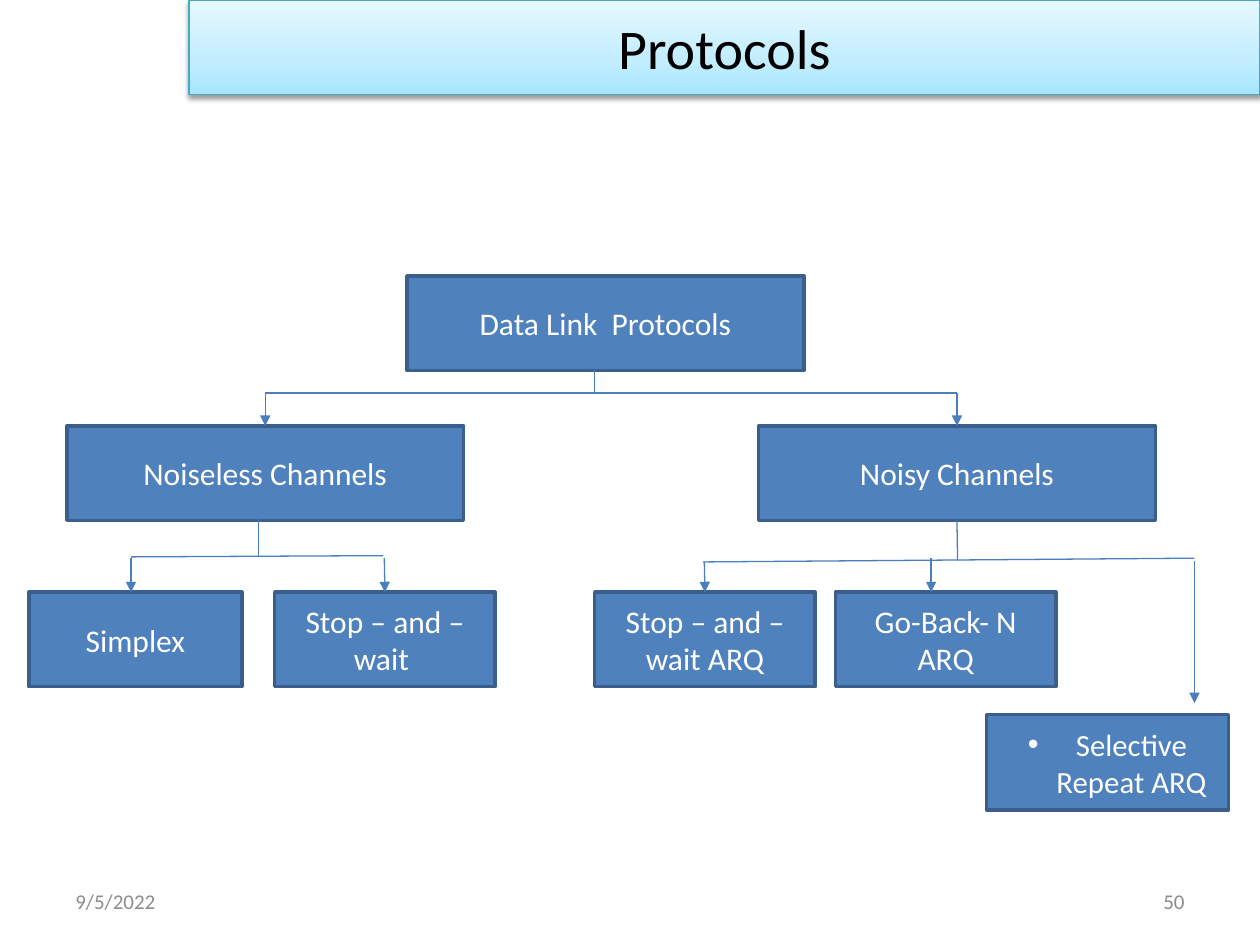
from copy import deepcopy

from lxml.etree import SubElement
from pptx import Presentation
from pptx.dml.color import RGBColor
from pptx.enum.shapes import MSO_CONNECTOR as CONN, MSO_SHAPE as SHAPE
from pptx.enum.text import MSO_ANCHOR as ANCHOR, PP_ALIGN as ALIGN
from pptx.oxml.ns import qn
from pptx.util import Inches, Pt

FONT = "Calibri"
BOX_FILL, BOX_LINE, ARROW = "4F81BD", "3A5F8C", "4B7EBC"
BOX_W, LEAF_W, BOX_H = 3.15, 1.75, 0.75
TOP, BOTTOM = 0, 2


def rgb(value):
    return RGBColor.from_string(value)


def place(sp, x, y, w, h):
    sp.left, sp.top, sp.width, sp.height = map(Inches, (x, y, w, h))


def write(sp, text, size, color, align):
    tf = sp.text_frame
    tf.word_wrap = True
    tf.vertical_anchor = ANCHOR.MIDDLE
    p = tf.paragraphs[0]
    p.alignment = align
    r = p.add_run()
    r.text = text
    r.font.name, r.font.size = FONT, Pt(size)
    r.font.color.rgb = rgb(color)
    return p


def add_title(slide, text, x, y, w, h):
    """Title bar with a vertical gradient and a soft shadow below it."""
    sp = slide.shapes.title
    place(sp, x, y, w, h)
    write(sp, text, 32, "000000", ALIGN.CENTER)
    sp.line.color.rgb = rgb("46AAC5")
    sp.line.width = Pt(0.75)

    sp.fill.gradient()
    sp.fill.gradient_angle = 90
    stops = sp._element.spPr.find(qn("a:gradFill")).find(qn("a:gsLst"))
    stops.insert(1, deepcopy(stops[0]))
    colors = ((0, "A7E6FF"), (0.35, "C1EDFF"), (1, "E7F8FF"))
    for stop, (position, color) in zip(sp.fill.gradient_stops, colors):
        stop.position = position
        stop.color.rgb = rgb(color)

    effects = SubElement(sp._element.spPr, qn("a:effectLst"))
    shadow = SubElement(effects, qn("a:outerShdw"), blurRad=str(Pt(3.1)),
                        dist=str(Pt(1.6)), dir="5400000", rotWithShape="0")
    black = SubElement(shadow, qn("a:srgbClr"), val="000000")
    SubElement(black, qn("a:alpha"), val="38000")


def add_box(slide, text, x, y, w=BOX_W, h=BOX_H, bullet=False):
    sp = slide.shapes.add_shape(SHAPE.RECTANGLE, *map(Inches, (x, y, w, h)))
    sp.shadow.inherit = False
    sp.fill.solid()
    sp.fill.fore_color.rgb = rgb(BOX_FILL)
    sp.line.color.rgb = rgb(BOX_LINE)
    sp.line.width = Pt(2)
    p = write(sp, text, 17.6 if bullet else 18, "FFFFFF", ALIGN.CENTER)
    if bullet:
        pPr = p._p.get_or_add_pPr()
        pPr.set("marL", str(Inches(0.38)))
        pPr.set("indent", str(Inches(-0.38)))
        SubElement(pPr, qn("a:buFont"), typeface="Arial")
        SubElement(pPr, qn("a:buChar"), char="•")
    return sp


def add_line(slide, x1, y1, x2, y2, arrow=False, start=None, end=None):
    """Line that may leave the bottom of one box and enter the top of another."""
    line = slide.shapes.add_connector(CONN.STRAIGHT, *map(Inches, (x1, y1, x2, y2)))
    line.line.color.rgb = rgb(ARROW)
    line.line.width = Pt(0.75)
    if arrow:
        SubElement(line.line._get_or_add_ln(), qn("a:tailEnd"), type="triangle")
    SubElement(line._element.spPr, qn("a:effectLst"))
    if start is not None:
        line.begin_connect(start, BOTTOM)
    if end is not None:
        line.end_connect(end, TOP)


def add_noiseless(slide, x, y):
    parent = add_box(slide, "Noiseless Channels", x, y)
    add_box(slide, "Simplex", x - 0.3, y + 1.32, 1.69)
    stop_wait = add_box(slide, "Stop – and – wait ", x + 1.65, y + 1.32, LEAF_W)
    add_line(slide, x + 1.52, y + 0.71, x + 1.52, y + 1.03)
    add_line(slide, x + 0.51, y + 1.04, x + 2.51, y + 1.03)
    add_line(slide, x + 0.51, y + 1.05, x + 0.51, y + 1.32, arrow=True)
    add_line(slide, x + 2.52, y + 1.05, x + 2.52, y + 1.32, arrow=True, end=stop_wait)
    return parent


def add_noisy(slide, x, y):
    parent = add_box(slide, "Noisy Channels", x, y)
    stop_wait = add_box(slide, "Stop – and – wait ARQ", x - 1.3, y + 1.32, LEAF_W)
    add_box(slide, "Go-Back- N ARQ", x + 0.61, y + 1.32, LEAF_W)
    add_box(slide, "Selective Repeat ARQ", x + 1.81, y + 2.29, 1.92, 0.76, bullet=True)
    add_line(slide, x + 1.58, y + BOX_H, x + 1.58, y + 1.07, start=parent)
    add_line(slide, x - 0.44, y + 1.08, x + 3.46, y + 1.05)
    add_line(slide, x - 0.43, y + 1.08, x - 0.43, y + 1.32, arrow=True, end=stop_wait)
    add_line(slide, x + 1.37, y + 1.05, x + 1.37, y + 1.32, arrow=True)
    add_line(slide, x + 3.46, y + 1.07, x + 3.46, y + 2.2, arrow=True)
    return parent


def add_tree(slide, x, y):
    add_box(slide, "Data Link  Protocols", x + 2.7, y)
    branches = (add_noiseless(slide, x, y + 1.19), add_noisy(slide, x + 5.49, y + 1.19))
    bar_y = y + 0.93
    middles = [x + BOX_W / 2, x + 5.49 + BOX_W / 2]
    add_line(slide, x + 4.19, y + BOX_H, x + 4.19, bar_y)
    add_line(slide, middles[0], bar_y, middles[1], bar_y)
    for middle, branch in zip(middles, branches):
        add_line(slide, middle, bar_y, middle, y + 1.19, arrow=True, end=branch)


def add_footer(slide, x, y, w, h):
    part_w = 2.33
    for text, left, align in (("9/5/2022", x, ALIGN.LEFT),
                              ("50", x + w - part_w, ALIGN.RIGHT)):
        sp = slide.shapes.add_textbox(*map(Inches, (left, y, part_w, h)))
        write(sp, text, 12, "8C8C8C", align)


def main():
    prs = Presentation()
    prs.slide_width, prs.slide_height = Inches(10), Inches(7.5)
    slide = prs.slides.add_slide(prs.slide_layouts[5])
    add_title(slide, "Protocols", 1.5, 0, 8.5, 0.75)
    add_tree(slide, 0.53, 2.19)
    add_footer(slide, 0.5, 6.95, 9, 0.4)
    prs.save("out.pptx")


if __name__ == "__main__":
    main()
